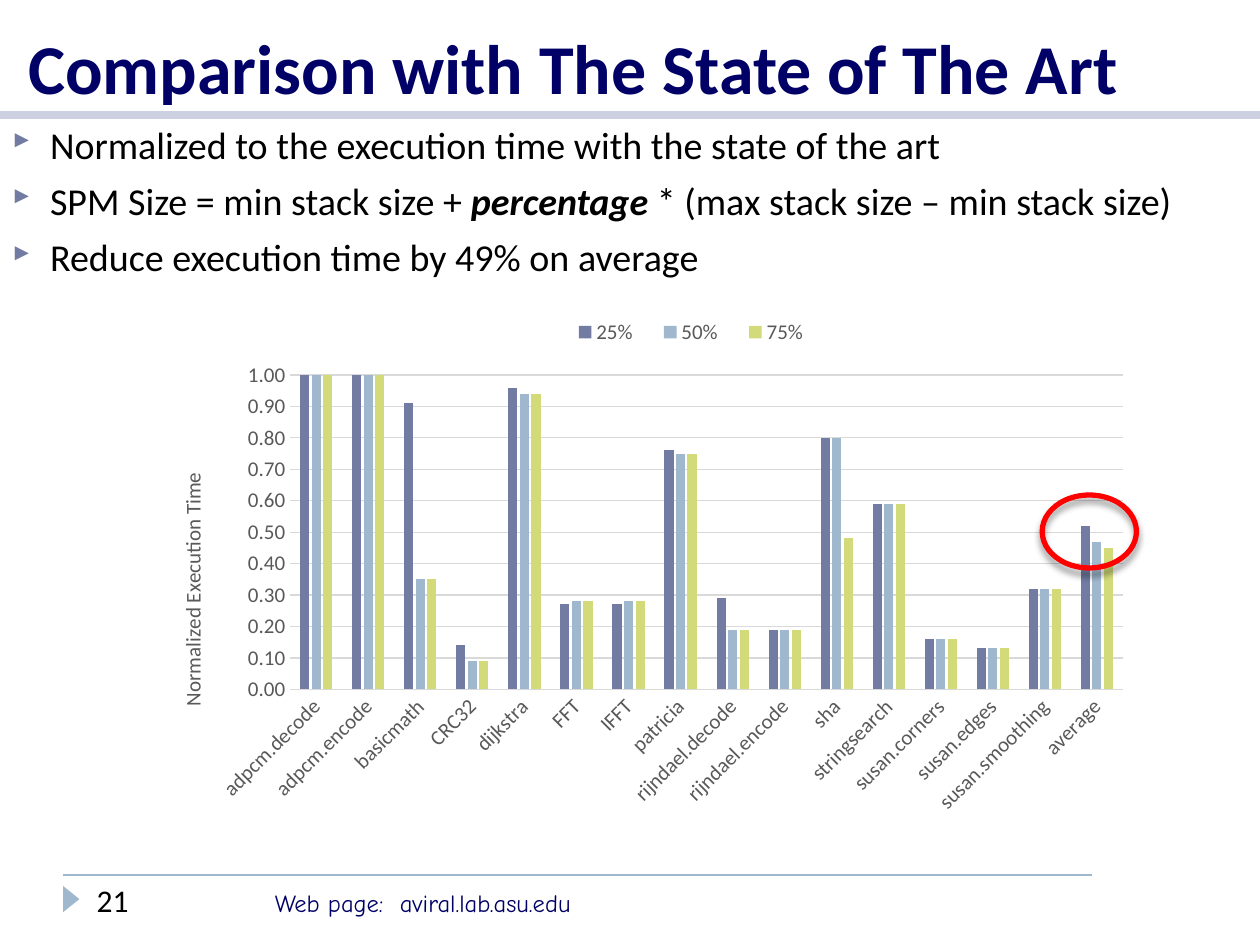
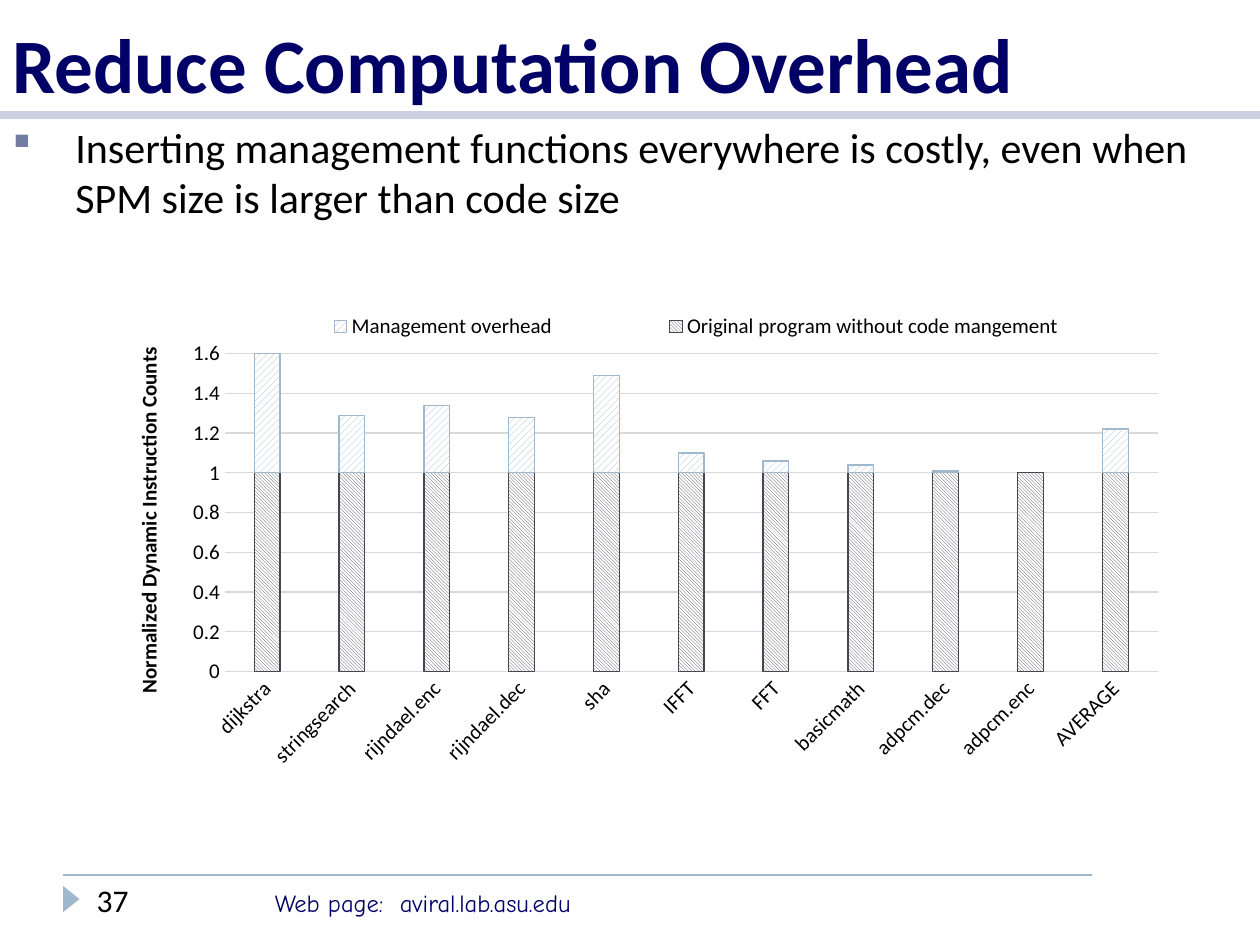
import pptx
import pptx.chart.data
import pptx.dml.color
import pptx.enum.chart
import pptx.enum.dml
import pptx.enum.shapes
import pptx.enum.text
import pptx.oxml
import pptx.oxml.ns
import pptx.util
from lxml import etree

Cm, Pt = pptx.util.Cm, pptx.util.Pt
qn = pptx.oxml.ns.qn

COLORS = {
    "navy": "000066", "text": "000000", "axis_text": "595959", "grid": "D9D9D9",
    "band": "CCD0E0", "violet": "727CA3", "sky": "9FB8CD", "lime": "D2DA7A",
    "slate": "464653", "white": "FFFFFF", "red": "FF0000",
}
BODY_FONT = "Calibri"
FOOTER_FONT = "Comic Neue"
ARROW_MARK = ("Wingdings 3", "}")
SQUARE_MARK = ("Wingdings", "§")
BAND_Y = 2.32
PATTERN = pptx.enum.dml.MSO_PATTERN
CHART = pptx.enum.chart.XL_CHART_TYPE
LEGEND = pptx.enum.chart.XL_LEGEND_POSITION

STATE_OF_ART_CATS = [
    "adpcm.decode", "adpcm.encode", "basicmath", "CRC32", "dijkstra", "FFT", "IFFT",
    "patricia", "rijndael.decode", "rijndael.encode", "sha", "stringsearch",
    "susan.corners", "susan.edges", "susan.smoothing", "average"]
STATE_OF_ART_SERIES = {
    "25%": [1.02, 1, 0.91, 0.14, 0.96, 0.27, 0.27, 0.76, 0.29, 0.19, 0.8, 0.59,
            0.16, 0.13, 0.32, 0.52],
    "50%": [1.02, 1, 0.35, 0.09, 0.94, 0.28, 0.28, 0.75, 0.19, 0.19, 0.8, 0.59,
            0.16, 0.13, 0.32, 0.47],
    "75%": [1.02, 1, 0.35, 0.09, 0.94, 0.28, 0.28, 0.75, 0.19, 0.19, 0.48, 0.59,
            0.16, 0.13, 0.32, 0.45],
}
OVERHEAD_CATS = [
    "dijkstra", "stringsearch", "rijndael.enc", "rijndael.dec", "sha", "IFFT", "FFT",
    "basicmath", "adpcm.dec", "adpcm.enc", "AVERAGE"]
OVERHEAD_SERIES = {
    "Original program without code mangement": [1] * len(OVERHEAD_CATS),
    "Management overhead": [0.64, 0.29, 0.34, 0.28, 0.49, 0.1, 0.06, 0.04, 0.01, 0, 0.22],
}


def rgb(name):
    return pptx.dml.color.RGBColor.from_string(COLORS[name])


def box(*lengths):
    return [Cm(n) for n in lengths]


def add_child(parent, tag, **attrs):
    return etree.SubElement(parent, qn(tag), {k: str(v) for k, v in attrs.items()})


def set_font(font, size, color, name=BODY_FONT, bold=None):
    font.size, font.name, font.bold = Pt(size), name, bold
    font.color.rgb = rgb(color)


def add_text(slide, place, text, size, color, name=BODY_FONT, tab=None):
    tf = slide.shapes.add_textbox(*box(*place)).text_frame
    tf.word_wrap = True
    p = tf.paragraphs[0]
    p.text = text
    if tab:
        tabs = add_child(p._p.get_or_add_pPr(), "a:tabLst")
        add_child(tabs, "a:tab", pos=Cm(tab), algn="l")
    set_font(p.font, size, color, name)


def add_rule(slide, x1, x2, y, color, width):
    line = slide.shapes.add_connector(
        pptx.enum.shapes.MSO_CONNECTOR.STRAIGHT, *box(x1, y, x2, y))
    line.line.color.rgb, line.line.width = rgb(color), Pt(width)
    add_child(line._element.spPr, "a:effectLst")


def add_footer(slide, number, left=1.27, top=17.64):
    add_rule(slide, left, left + 20.75, top, "sky", 1)
    marker = slide.shapes.add_shape(
        pptx.enum.shapes.MSO_SHAPE.ISOSCELES_TRIANGLE,
        *box(left - 0.1, top + 0.32, 0.53, 0.33))
    marker.rotation = 90
    marker.shadow.inherit = False
    marker.fill.solid()
    marker.fill.fore_color.rgb = rgb("sky")
    marker.line.fill.background()
    add_text(slide, (left + 0.43, top, 3.58, 1.02), str(number), 18, "text")
    add_text(slide, (left + 4.02, top + 0.14, 9.53, 0.86),
             "Web page:\taviral.lab.asu.edu", 14, "navy", FOOTER_FONT, tab=2.52)


def add_base_slide(prs, title, size, number, indent=0):
    """Add a slide with the shared title, band and footer."""
    slide = prs.slides.add_slide(prs.slide_layouts[5])
    add_rule(slide, 0, 25.4, BAND_Y, "band", 5)
    add_footer(slide, number)
    sp = slide.shapes.title
    sp.left, sp.top, sp.width, sp.height = box(0, 0, 25.4, BAND_Y)
    tf = sp.text_frame
    tf.text = title
    tf.auto_size = pptx.enum.text.MSO_AUTO_SIZE.NONE
    tf.vertical_anchor = pptx.enum.text.MSO_ANCHOR.BOTTOM
    tf.margin_left = Cm(0.25 + indent)
    p = tf.paragraphs[0]
    p.alignment = pptx.enum.text.PP_ALIGN.LEFT
    set_font(p.font, size, "navy", bold=True)
    return slide


def add_bullets(slide, place, items, size, mark, indent, mark_percent=100):
    """Each item is a list of texts; every second text is bold italic."""
    mark_font, mark_char = mark
    tf = slide.shapes.add_textbox(*box(*place)).text_frame
    tf.word_wrap = True
    for i, texts in enumerate(items):
        p = tf.add_paragraph() if i else tf.paragraphs[0]
        pPr = p._p.get_or_add_pPr()
        pPr.set("marL", str(Cm(indent)))
        pPr.set("indent", str(-Cm(indent)))
        add_child(add_child(pPr, "a:buClr"), "a:srgbClr", val=COLORS["violet"])
        add_child(pPr, "a:buSzPct", val=mark_percent * 1000)
        add_child(pPr, "a:buFont", typeface=mark_font, charset=2)
        add_child(pPr, "a:buChar", char=mark_char)
        if i:
            p.space_before = Pt(6)
        set_font(p.font, size, "text")
        for j, text in enumerate(texts):
            r = p.add_run()
            r.text = text
            if j % 2:
                r.font.bold = r.font.italic = True


def set_layout(parent, index, size, place, inner=False):
    """Place a chart part, in cm from the corner of a chart of the given size."""
    for old in parent.findall(qn("c:layout")):
        parent.remove(old)
    layout = pptx.oxml.parse_xml(
        '<c:layout xmlns:c="http://schemas.openxmlformats.org/drawingml/2006/chart"/>')
    manual = add_child(layout, "c:manualLayout")
    if inner:
        add_child(manual, "c:layoutTarget", val="inner")
    for key in "xy":
        add_child(manual, f"c:{key}Mode", val="edge")
    for key, value, whole in zip("xywh", place, size * 2):
        add_child(manual, f"c:{key}", val=value / whole)
    parent.insert(index, layout)


def add_column_chart(slide, place, kind, cats, series, text_color, gap, overlap,
                     plot_at, legend, legend_at):
    data = pptx.chart.data.CategoryChartData()
    data.categories = cats
    for name, values in series.items():
        data.add_series(name, values)
    chart = slide.shapes.add_chart(kind, *box(*place), data).chart
    set_font(chart.font, 12, text_color)
    chart.has_title = False
    plot = chart.plots[0]
    plot.gap_width, plot.overlap, plot.vary_by_categories = gap, overlap, False
    chart.has_legend = True
    chart.legend.position = legend
    chart.legend.include_in_layout = False
    set_font(chart.legend.font, 12, text_color)
    size = place[2:]
    set_layout(chart.legend._element, 1, size, legend_at)
    set_layout(chart._chartSpace.chart.plotArea, 0, size, plot_at, inner=True)

    axis = chart.category_axis
    axis.major_tick_mark = pptx.enum.chart.XL_TICK_MARK.NONE
    axis.format.line.color.rgb, axis.format.line.width = rgb("grid"), Pt(0.75)
    set_font(axis.tick_labels.font, 12, text_color)
    axis._element.find(qn("c:txPr")).find(qn("a:bodyPr")).set("rot", "-2700000")
    return chart


def format_value_axis(chart, title, color, bold, top, step, number_format, size, title_at):
    axis = chart.value_axis
    axis.minimum_scale, axis.maximum_scale, axis.major_unit = 0, top, step
    axis.major_tick_mark = pptx.enum.chart.XL_TICK_MARK.NONE
    axis.format.line.fill.background()
    grid = axis.major_gridlines.format.line
    grid.color.rgb, grid.width = rgb("grid"), Pt(0.75)
    labels = axis.tick_labels
    labels.number_format, labels.number_format_is_linked = number_format, False
    set_font(labels.font, 12, color)
    tf = axis.axis_title.text_frame
    tf.text = title
    set_font(tf.paragraphs[0].font, 12, color, bold=bold)
    tf._txBody.find(qn("a:bodyPr")).set("rot", "-5400000")
    set_layout(axis.axis_title._element, 1, size, title_at)


def add_highlight(slide, place):
    sp = slide.shapes.add_shape(pptx.enum.shapes.MSO_SHAPE.OVAL, *box(*place))
    sp.fill.background()
    sp.line.color.rgb, sp.line.width = rgb("red"), Pt(3)
    sp.shadow.inherit = False
    effects = sp._element.spPr.find(qn("a:effectLst"))
    shadow = add_child(effects, "a:outerShdw", blurRad=Pt(4), dist=Pt(3.4),
                       dir=5400000, rotWithShape=0)
    add_child(add_child(shadow, "a:srgbClr", val=COLORS["text"]), "a:alpha", val=40000)


def build_comparison(prs):
    slide = add_base_slide(prs, "Comparison with The State of The Art", 40, 21, indent=0.32)
    add_bullets(slide, (0, BAND_Y, 25.4, 2.97), [
        ["Normalized to the execution time with the state of the art"],
        ["SPM Size = min stack size + ", "percentage",
         " * (max stack size – min stack size)"],
        ["Reduce execution time by 49% on average"],
    ], 21.7, ARROW_MARK, 0.76, 76)
    size = (19.48, 10.8)
    chart = add_column_chart(
        slide, (3.51, 6.07, *size), CHART.COLUMN_CLUSTERED,
        STATE_OF_ART_CATS, STATE_OF_ART_SERIES, "axis_text", 219, -27,
        (2.34, 1.49, 16.79, 6.34), LEGEND.BOTTOM, (7.67, 0.3, 5.5, 0.65))
    format_value_axis(chart, "Normalized Execution Time", "axis_text", False, 1, 0.1,
                      "#,##0.00", size, (0.01, 3.38))
    for s, color in zip(chart.series, ("violet", "sky", "lime")):
        s.format.fill.solid()
        s.format.fill.fore_color.rgb = rgb(color)
    add_highlight(slide, (21.01, 9.98, 1.9, 1.47))


def build_overhead(prs):
    slide = add_base_slide(prs, "Reduce Computation Overhead", 44, 37)
    add_bullets(slide, (0, BAND_Y, 25.4, 2.74), [
        ["Inserting management functions everywhere is costly, even when "
         "SPM size is larger than code size"],
    ], 24, SQUARE_MARK, 1.27)
    size = (21.16, 10.36)
    chart = add_column_chart(
        slide, (2.54, 5.92, *size), CHART.COLUMN_STACKED,
        OVERHEAD_CATS, OVERHEAD_SERIES, "text", 230, 100,
        (1.99, 1.21, 18.81, 6.41), LEGEND.CORNER, (1.97, 0.35, 19.05, 0.62))
    format_value_axis(chart, "Normalized Dynamic Instruction Counts", "text", True,
                      1.6, 0.2, "General", size, (0.09, 1))
    hatches = (("slate", PATTERN.LIGHT_DOWNWARD_DIAGONAL),
               ("sky", PATTERN.WIDE_UPWARD_DIAGONAL))
    for s, (color, pattern) in zip(chart.series, hatches):
        fill, line = s.format.fill, s.format.line
        fill.patterned()
        fill.pattern = pattern
        fill.fore_color.rgb, fill.back_color.rgb = rgb(color), rgb("white")
        line.color.rgb, line.width = rgb(color), Pt(0.75)


def main():
    prs = pptx.Presentation()
    prs.slide_width, prs.slide_height = box(25.4, 19.05)
    build_comparison(prs)
    build_overhead(prs)
    prs.save("out.pptx")


if __name__ == "__main__":
    main()
